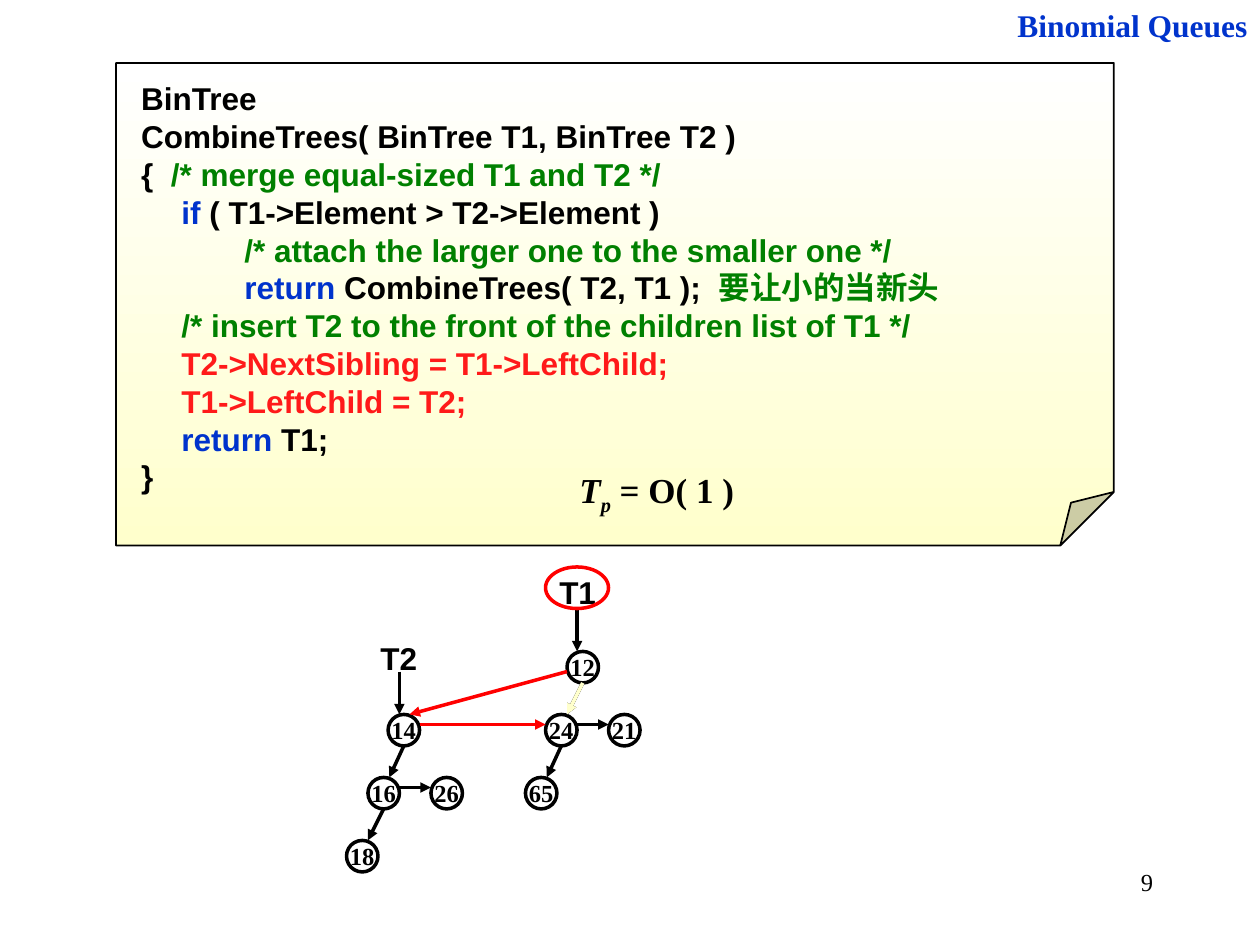
from lxml import etree
from pptx import Presentation
from pptx import util as u
from pptx.dml.color import RGBColor
from pptx.enum import shapes, text
from pptx.oxml.ns import qn

BLACK = RGBColor(0, 0, 0)
BLUE = RGBColor(0x00, 0x33, 0xCC)
GREEN = RGBColor(0x00, 0x80, 0x00)
CRIMSON = RGBColor(0xFF, 0x1A, 0x1A)
RED = RGBColor(0xFF, 0, 0)
CREAM = RGBColor(0xFF, 0xFF, 0xCC)
WHITE = RGBColor(0xFF, 0xFF, 0xFF)
SERIF = "Times New Roman"
SANS = "Arial"
NODE_SIZE = 0.25

CODE = [
    [("BinTree", BLACK)],
    [("CombineTrees( BinTree T1, BinTree T2 )", BLACK)],
    [("{  ", BLACK), ("/* merge equal-sized T1 and T2 */", GREEN)],
    [("\t", BLACK), ("if", BLUE), (" ( T1->Element > T2->Element )", BLACK)],
    [("\t\t/* attach the larger one to the smaller one */", GREEN)],
    [("\t\t", BLACK), ("return", BLUE),
     (" CombineTrees( T2, T1 );  ", BLACK), ("要让小的当新头", GREEN)],
    [("\t/* insert T2 to the front of the children list of T1 */", GREEN)],
    [("\tT2->NextSibling = T1->LeftChild;", CRIMSON)],
    [("\tT1->LeftChild = T2;", CRIMSON)],
    [("\t", BLACK), ("return", BLUE), (" T1;", BLACK)],
    [("}", BLACK)],
]

NODES = {
    "12": (4.5, 5.17),
    "24": (4.33, 5.67), "21": (4.83, 5.67), "65": (4.17, 6.17),
    "14": (3.08, 5.67),
    "16": (2.92, 6.17), "26": (3.42, 6.17), "18": (2.75, 6.67),
}
CHILDREN = [("12", "24"), ("24", "65"), ("14", "16"), ("16", "18")]
SIBLINGS = [("24", "21"), ("16", "26")]


def add_run(p, content, font=SERIF, size=18, color=BLACK, bold=True,
            italic=False, baseline=None):
    r = p.add_run()
    r.text = content
    r.font.name = font
    r.font.size = u.Pt(size)
    r.font.bold = bold
    r.font.italic = italic
    r.font.color.rgb = color
    if baseline is not None:
        r._r.get_or_add_rPr().set("baseline", str(baseline))
    return r


def add_label(s, content, x, y, w, h, align=text.PP_ALIGN.LEFT, wrap=False,
              **fmt):
    tf = s.shapes.add_textbox(*map(u.Inches, (x, y, w, h))).text_frame
    tf.word_wrap = wrap
    p = tf.paragraphs[0]
    p.alignment = align
    add_run(p, content, **fmt)
    return p


def add_outline(s, kind, x, y, w, h, color=BLACK, width=2):
    sp = s.shapes.add_shape(kind, *map(u.Inches, (x, y, w, h)))
    sp.shadow.inherit = False
    sp.fill.background()
    sp.line.color.rgb = color
    sp.line.width = u.Pt(width)
    return sp


def add_arrow(s, x1, y1, x2, y2, color=BLACK):
    c = s.shapes.add_connector(shapes.MSO_CONNECTOR.STRAIGHT,
                               *map(u.Inches, (x1, y1, x2, y2)))
    c.line.color.rgb = color
    c.line.width = u.Pt(2)
    ln = c._element.spPr.find(qn("a:ln"))
    etree.SubElement(ln, qn("a:tailEnd"), type="triangle")
    etree.SubElement(c._element.spPr, qn("a:effectLst"))


def add_child_arrow(s, parent, child, color=BLACK):
    (px, py), (cx, cy) = NODES[parent], NODES[child]
    add_arrow(s, px + NODE_SIZE / 2, py + NODE_SIZE, cx + 0.17, cy, color)


def add_sibling_arrow(s, left, right, color=BLACK):
    (lx, ly), (rx, _) = NODES[left], NODES[right]
    add_arrow(s, lx + NODE_SIZE, ly + 0.08, rx, ly + 0.08, color)


def add_node(s, key, x, y):
    sp = add_outline(s, shapes.MSO_SHAPE.OVAL, x, y, NODE_SIZE, NODE_SIZE)
    tf = sp.text_frame
    tf.word_wrap = False
    tf.vertical_anchor = text.MSO_ANCHOR.MIDDLE
    p = tf.paragraphs[0]
    p.alignment = text.PP_ALIGN.CENTER
    add_run(p, key, size=14)


def add_code_note(s):
    sp = add_outline(s, shapes.MSO_SHAPE.FOLDED_CORNER, 0.92, 0.5, 7.92, 3.83,
                     width=1)
    guides = next(sp._element.spPr.iter(qn("a:avLst")))
    etree.SubElement(guides, qn("a:gd"), name="adj", fmla="val 11100")
    sp.fill.gradient()
    sp.fill.gradient_angle = 270
    for stop, color, position in zip(sp.fill.gradient_stops, (WHITE, CREAM),
                                     (0, 1)):
        stop.color.rgb = color
        stop.position = position
    tf = sp.text_frame
    tf.word_wrap = True
    tf.vertical_anchor = text.MSO_ANCHOR.TOP
    tf.margin_left, tf.margin_top = u.Inches(0.2), u.Inches(0.13)
    tf.margin_right, tf.margin_bottom = u.Inches(0.04), u.Inches(0.05)
    for i, line in enumerate(CODE):
        p = tf.add_paragraph() if i else tf.paragraphs[0]
        p.alignment = text.PP_ALIGN.LEFT
        pPr = p._p.get_or_add_pPr()
        pPr.set("marL", str(u.Inches(0.32)))
        pPr.set("indent", str(u.Inches(-0.32)))
        tabs = etree.SubElement(pPr, qn("a:tabLst"))
        for inch in range(8):
            etree.SubElement(tabs, qn("a:tab"), pos=str(u.Inches(inch)),
                             algn="l")
        for content, color in line:
            add_run(p, content, font=SANS, color=color)


def add_tree(s):
    for key, (x, y) in NODES.items():
        add_node(s, key, x, y)
    for parent, child in CHILDREN:
        add_child_arrow(s, parent, child)
    for left, right in SIBLINGS:
        add_sibling_arrow(s, left, right)
    add_arrow(s, 4.58, 4.83, 4.58, 5.17)
    add_arrow(s, 3.17, 5.33, 3.17, 5.67)
    add_label(s, "T1", 4.34, 4.5, 0.49, 0.4, font=SANS)
    add_label(s, "T2", 2.92, 5.02, 0.49, 0.4, font=SANS)
    add_sibling_arrow(s, "14", "24", RED)
    add_child_arrow(s, "12", "24", CREAM)
    add_arrow(s, 4.5, 5.33, 3.25, 5.67, RED)
    add_outline(s, shapes.MSO_SHAPE.OVAL, 4.33, 4.5, 0.5, 0.33, RED)


def main():
    prs = Presentation()
    prs.slide_width, prs.slide_height = u.Inches(10), u.Inches(7.5)
    s = prs.slides.add_slide(prs.slide_layouts[6])
    right = text.PP_ALIGN.RIGHT
    add_label(s, "9", 7.17, 6.83, 2.08, 0.5, right, True, size=14, bold=False)
    add_label(s, "Binomial Queues", 7.42, 0, 2.58, 0.4, right, True, color=BLUE)
    add_code_note(s)
    p = add_label(s, "T", 4.5, 3.67, 1.43, 0.48, size=20, italic=True)
    add_run(p, "p", size=20, italic=True, baseline=-25000)
    add_run(p, " = O( 1 )", size=20)
    add_tree(s)
    prs.save("out.pptx")


if __name__ == "__main__":
    main()
